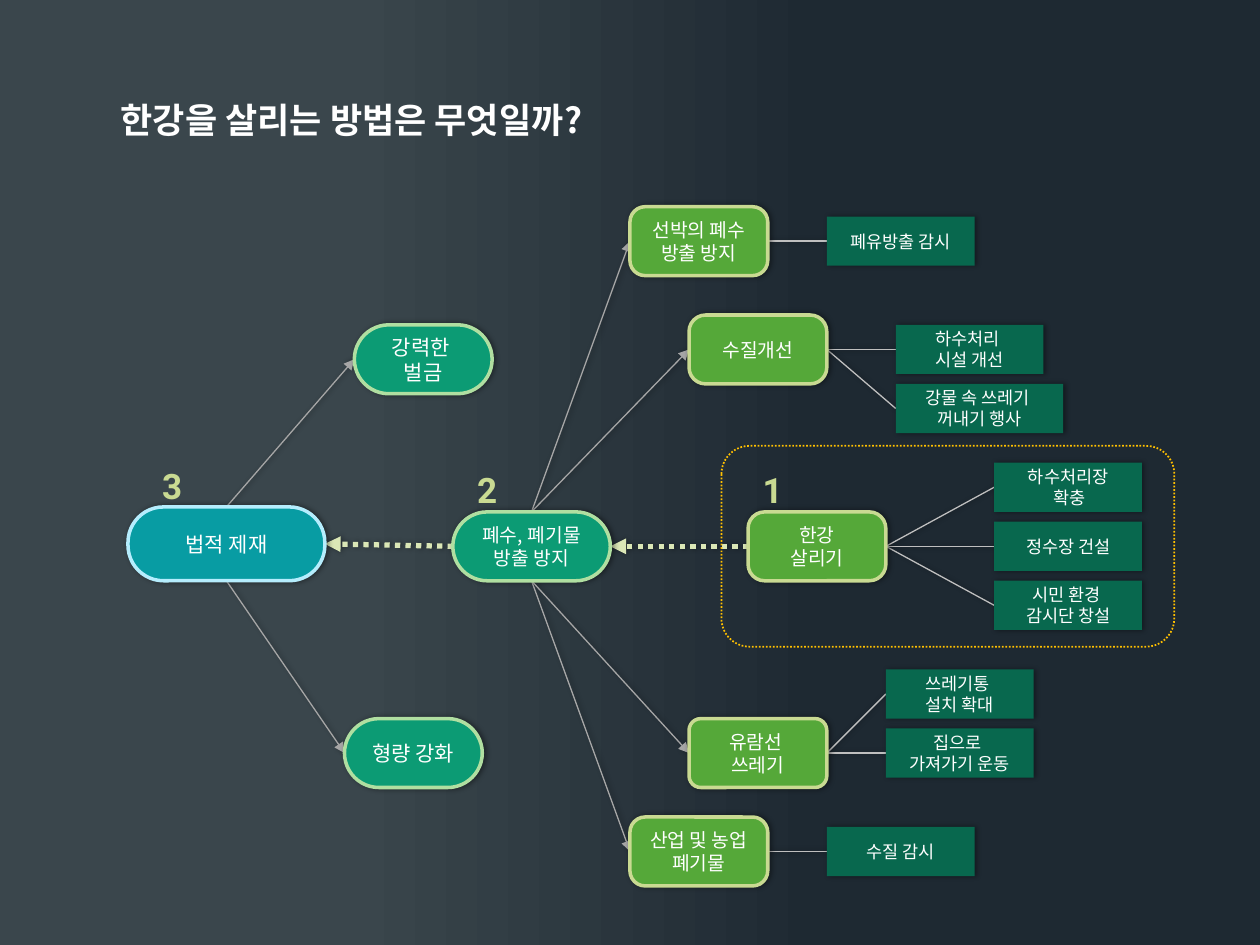
"""Draw a mind map of ways to revive the Han River."""
from dataclasses import dataclass
from typing import Optional

import pptx
import pptx.dml.color
import pptx.enum.dml
import pptx.enum.shapes
import pptx.enum.text
import pptx.oxml
import pptx.oxml.ns
import pptx.util

RGB = pptx.dml.color.RGBColor
WHITE = RGB(0xFF, 0xFF, 0xFF)
SLATE = RGB(0x3A, 0x46, 0x4C)
NIGHT = RGB(0x1E, 0x29, 0x32)
GREEN = RGB(0x55, 0xA8, 0x39)
LIME = RGB(0xC9, 0xDA, 0x92)
JADE = RGB(0x0C, 0x9B, 0x74)
MINT = RGB(0xB0, 0xDF, 0xA1)
TEAL = RGB(0x08, 0x9C, 0xA3)
ICE = RGB(0xB5, 0xED, 0xFD)
PINE = RGB(0x08, 0x68, 0x4E)
PALE = RGB(0xDB, 0xE7, 0xB6)
GRAY = RGB(0xA6, 0xA6, 0xA6)
SILVER = RGB(0xBF, 0xBF, 0xBF)
GOLD = RGB(0xFF, 0xC0, 0x00)

COLS, ROWS = 128, 96
HANGUL, LATIN = "Noto Sans CJK KR", "Roboto"
TOP, LEFT, BOTTOM, RIGHT = range(4)
ALIGN = pptx.enum.text.PP_ALIGN
DOTS = pptx.enum.dml.MSO_LINE.ROUND_DOT

deck = pptx.Presentation()
deck.slide_width = pptx.util.Inches(10)
deck.slide_height = pptx.util.Inches(7.5)
slide = deck.slides.add_slide(deck.slide_layouts[6])


@dataclass(frozen=True)
class Style:
    """Look of a node."""
    fill: RGB
    edge: Optional[RGB]
    size: int
    wide: float
    high: float
    round: float


@dataclass(frozen=True)
class Node:
    """Box placed by grid column and row."""
    name: str
    text: str
    style: Style
    col: float
    row: float
    wide: Optional[float] = None
    round: Optional[float] = None


@dataclass(frozen=True)
class Pen:
    """Look of a link."""
    color: RGB
    width: float
    head: bool = False
    dash: bool = False


@dataclass(frozen=True)
class Link:
    """Line between the sides of two nodes."""
    start: str
    out: int
    end: str
    into: int
    pen: Pen


@dataclass(frozen=True)
class Label:
    """Free text placed by grid column and row."""
    text: str
    col: float
    row: float
    wide: float
    font: str
    color: RGB
    align: ALIGN


ROOT = Style(TEAL, ICE, 12, 20, 7.5, 0.48)
PILL = Style(JADE, MINT, 12, 14, 7, 0.5)
HUB = Style(JADE, MINT, 11, 16, 7, 0.5)
TOPIC = Style(GREEN, LIME, 11, 14, 7, 0.24)
LEAF = Style(PINE, None, 10, 15, 5, 0)

NODES = [
    Node("river", " 한강 \n살리기", TOPIC, 76, 52),
    Node("plant", "하수처리장\r 확충", LEAF, 101, 47),
    Node("water", "정수장 건설", LEAF, 101, 53),
    Node("watch", "시민 환경 \n감시단 창설", LEAF, 101, 59),
    Node("boat", "유람선 \n쓰레기", TOPIC, 70, 73, round=0.17),
    Node("bin", "쓰레기통 \n설치 확대", LEAF, 90, 68),
    Node("home", "집으로 \n가져가기 운동", LEAF, 90, 74),
    Node("clean", "수질개선", TOPIC, 70, 32),
    Node("sewer", "하수처리 \n시설 개선", LEAF, 91, 33),
    Node("event", "강물 속 쓰레기 \n꺼내기 행사", LEAF, 91, 39, 17),
    Node("waste", "폐수, 폐기물\n방출 방지", HUB, 46, 52),
    Node("test", "수질 감시", LEAF, 84, 84),
    Node("ship", "선박의 폐수 방출 방지", TOPIC, 64, 21, round=0.22),
    Node("oil", "폐유방출 감시", LEAF, 84, 22),
    Node("law", "법적 제재", ROOT, 13, 51.5),
    Node("jail", "형량 강화", PILL, 35, 73),
    Node("fine", "강력한 \n벌금", PILL, 36, 33),
    Node("farm", "산업 및 농업 폐기물", TOPIC, 64, 83, round=0.22),
]

THIN = Pen(SILVER, 0.75)
ARROW = Pen(GRAY, 0.75, True)
FLOW = Pen(PALE, 3, True, True)

BRANCH = {
    "river": ["plant", "water", "watch"],
    "boat": ["bin", "home"],
    "clean": ["sewer", "event"],
    "farm": ["test"],
    "ship": ["oil"],
}
LINKS = [Link(hub, RIGHT, leaf, LEFT, THIN)
         for hub, leaves in BRANCH.items() for leaf in leaves]
LINKS += [Link(hub, side, end, LEFT, ARROW) for hub, side, end in [
    ("waste", TOP, "clean"), ("waste", BOTTOM, "boat"),
    ("waste", BOTTOM, "farm"), ("waste", TOP, "ship"),
    ("law", BOTTOM, "jail"), ("law", TOP, "fine")]]
LINKS += [Link(a, LEFT, b, RIGHT, FLOW)
          for a, b in [("river", "waste"), ("waste", "law")]]

LABELS = [Label(text, col, row, 7, LATIN, LIME, ALIGN.CENTER)
          for text, col, row in [("1", 75, 47), ("2", 46, 47), ("3", 14, 46.6)]]
LABELS.append(Label("한강을 살리는 방법은 무엇일까?", 11, 9.4, 62,
                    HANGUL, WHITE, ALIGN.LEFT))


def place(col: float, row: float, wide: float, high: float) -> list[int]:
    """Turn grid units into lengths."""
    x, y = deck.slide_width / COLS, deck.slide_height / ROWS
    return [round(col * x), round(row * y), round(wide * x), round(high * y)]


def shade(shape) -> None:
    """Give a shape or connector a soft shadow."""
    shape._element.spPr.append(pptx.oxml.parse_xml(
        f'<a:effectLst {pptx.oxml.ns.nsdecls("a")}>'
        '<a:outerShdw blurRad="38100" dist="12700" dir="0">'
        '<a:srgbClr val="000000"><a:alpha val="40000"/></a:srgbClr>'
        '</a:outerShdw></a:effectLst>'))


def write(frame, text: str, font: str, size: int, color: RGB,
          align: ALIGN, bold: bool = False) -> None:
    """Fill a frame with paragraphs, lines and runs."""
    frame.word_wrap = True
    for i, part in enumerate(text.split("\r")):
        para = frame.add_paragraph() if i else frame.paragraphs[0]
        para.alignment = align
        for j, line in enumerate(part.split("\n")):
            if j:
                para.add_line_break()
            run = para.add_run()
            run.text = line
            run.font.name, run.font.size = font, pptx.util.Pt(size)
            run.font.bold, run.font.color.rgb = bold, color
            east = pptx.oxml.parse_xml(
                f'<a:ea {pptx.oxml.ns.nsdecls("a")} typeface="{font}"/>')
            run.font._element.append(east)


def box(col: float, row: float, wide: float, high: float, bend: float):
    """Add a plain rounded box."""
    shape = slide.shapes.add_shape(
        pptx.enum.shapes.MSO_SHAPE.ROUNDED_RECTANGLE,
        *place(col, row, wide, high))
    shape.adjustments[0] = bend
    return shape


def draw(node: Node):
    """Add a node with its text."""
    look = node.style
    bend = look.round if node.round is None else node.round
    shape = box(node.col, node.row, node.wide or look.wide, look.high, bend)
    shape.fill.solid()
    shape.fill.fore_color.rgb = look.fill
    if look.edge is None:
        shape.line.fill.background()
    else:
        shape.line.color.rgb = look.edge
        shape.line.width = pptx.util.Pt(2)
    shade(shape)
    frame = shape.text_frame
    frame.margin_top = frame.margin_bottom = 0
    frame.vertical_anchor = pptx.enum.text.MSO_ANCHOR.MIDDLE
    write(frame, node.text, HANGUL, look.size, WHITE, ALIGN.CENTER)
    return shape


def join(link: Link, made: dict) -> None:
    """Connect two nodes behind the boxes."""
    wire = slide.shapes.add_connector(
        pptx.enum.shapes.MSO_CONNECTOR.STRAIGHT, 0, 0, 0, 0)
    wire.begin_connect(made[link.start], link.out)
    wire.end_connect(made[link.end], link.into)
    wire.line.color.rgb = link.pen.color
    wire.line.width = pptx.util.Pt(link.pen.width)
    if link.pen.dash:
        wire.line.dash_style = DOTS
    if link.pen.head:
        wire.line._get_or_add_ln().append(pptx.oxml.parse_xml(
            f'<a:tailEnd {pptx.oxml.ns.nsdecls("a")} type="triangle"/>'))
    shade(wire)
    slide.shapes._spTree.insert(2, wire._element)


def note(label: Label) -> None:
    """Add a bold label."""
    text = slide.shapes.add_textbox(
        *place(label.col, label.row, label.wide, 5.6))
    write(text.text_frame, label.text, label.font, 20, label.color,
          label.align, True)


def main() -> None:
    """Build and save the slide."""
    back = slide.background.fill
    back.gradient()
    back.gradient_angle = 0
    for stop, spot, color in zip(back.gradient_stops, (0.28, 0.65), (SLATE, NIGHT)):
        stop.position, stop.color.rgb = spot, color
    made = {node.name: draw(node) for node in NODES}
    for link in LINKS:
        join(link, made)
    for label in LABELS:
        note(label)
    ring = box(73.3, 45.3, 46, 20.4, 0.14)
    ring.shadow.inherit = False
    ring.fill.background()
    ring.line.color.rgb, ring.line.width = GOLD, pptx.util.Pt(1)
    ring.line.dash_style = DOTS
    deck.save("out.pptx")


if __name__ == "__main__":
    main()
